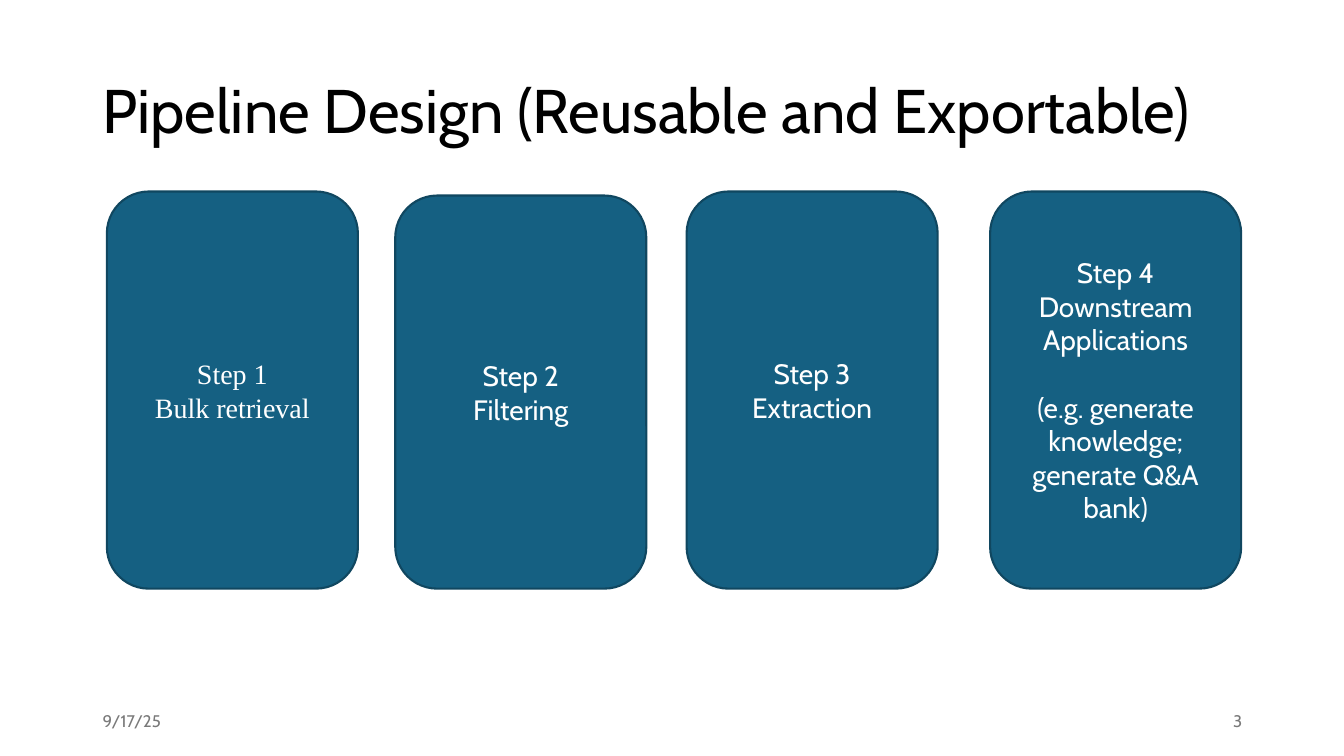
from pptx import Presentation
from pptx.dml.color import RGBColor
from pptx.enum.shapes import MSO_SHAPE as Shape
from pptx.enum.text import MSO_ANCHOR as Anchor, PP_ALIGN as Align
from pptx.util import Inches, Pt

COLORS = {
    "title": "000000",
    "footer": "797979",
    "card": "156082",
    "card_line": "104760",
    "card_text": "FFFFFF",
}
BODY_FONT = "Cabin"
STEP_ONE_FONT = "Times New Roman"
LINE_GAP = 24

CARD_WIDTH = 2.49
CARD_BOTTOM = 5.84
# left, top, font, lines, space before each line
STEPS = [
    (1.06, 1.9, STEP_ONE_FONT, ["Step 1", "Bulk retrieval"], [0, 0]),
    (3.92, 1.94, BODY_FONT, ["Step 2", "Filtering"], [0, 0]),
    (6.81, 1.9, BODY_FONT, ["Step 3", "Extraction"], [0, 0]),
    (9.82, 1.9, BODY_FONT,
     ["Step 4", "Downstream Applications",
      "(e.g. generate knowledge; generate Q&A bank)"], [0, 0, LINE_GAP]),
]


def color(name):
    return RGBColor.from_string(COLORS[name])


def format_paragraph(paragraph, text, size, color_name, font=BODY_FONT, **layout):
    paragraph.text = text
    for name, value in layout.items():
        setattr(paragraph, name, value)
    for name, value in {"size": Pt(size), "name": font}.items():
        setattr(paragraph.font, name, value)
    paragraph.font.color.rgb = color(color_name)


def add_line_of_text(slide, box, text, size, color_name, **layout):
    """Place one vertically centred paragraph in a wrapping text box."""
    frame = slide.shapes.add_textbox(*map(Inches, box)).text_frame
    frame.word_wrap = True
    frame.vertical_anchor = Anchor.MIDDLE
    format_paragraph(frame.paragraphs[0], text, size, color_name, **layout)


def add_step_card(slide, box, font, lines, gaps):
    card = slide.shapes.add_shape(Shape.ROUNDED_RECTANGLE, *map(Inches, box))
    card.shadow.inherit = False
    card.fill.solid()
    card.fill.fore_color.rgb = color("card")
    card.line.color.rgb = color("card_line")
    card.line.width = Pt(1.5)
    frame = card.text_frame
    frame.word_wrap = True
    frame.vertical_anchor = Anchor.MIDDLE
    for index, (text, gap) in enumerate(zip(lines, gaps)):
        paragraph = frame.add_paragraph() if index else frame.paragraphs[0]
        format_paragraph(paragraph, text, 20, "card_text", font,
                         alignment=Align.CENTER, space_before=Pt(gap))


def add_footer(slide, left, top, width, date, number):
    box_width, height = 3, 0.4
    add_line_of_text(slide, (left, top, box_width, height), date, 12, "footer")
    add_line_of_text(slide, (left + width - box_width, top, box_width, height),
                     number, 12, "footer", alignment=Align.RIGHT)


def main():
    presentation = Presentation()
    presentation.slide_width = Inches(13.33)
    presentation.slide_height = Inches(7.5)
    slide = presentation.slides.add_slide(presentation.slide_layouts[6])

    add_line_of_text(slide, (0.92, 0.4, 11.5, 1.45),
                     "Pipeline Design (Reusable and Exportable)", 44, "title",
                     line_spacing=0.9)
    add_footer(slide, 0.92, 6.95, 11.5, "9/17/25", "3")
    for left, top, font, lines, gaps in STEPS:
        box = (left, top, CARD_WIDTH, CARD_BOTTOM - top)
        add_step_card(slide, box, font, lines, gaps)

    presentation.save("out.pptx")


if __name__ == "__main__":
    main()
